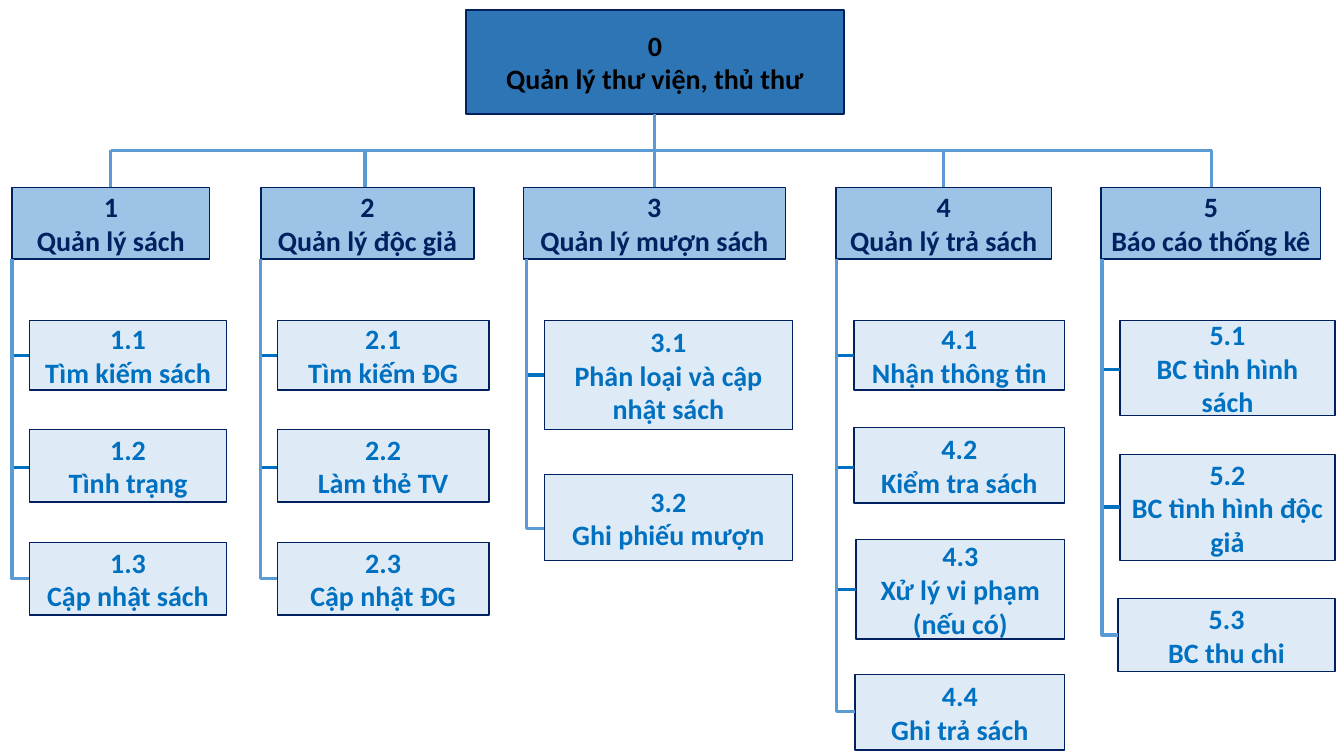
from dataclasses import dataclass
from typing import NamedTuple

from lxml.etree import SubElement
from pptx import Presentation
from pptx.dml.color import RGBColor
from pptx.enum.shapes import MSO_CONNECTOR as Link, MSO_SHAPE as Form
from pptx.enum.text import MSO_ANCHOR as Anchor, PP_ALIGN as Align
from pptx.oxml.ns import qn
from pptx.util import Inches, Pt


@dataclass(frozen=True)
class Theme:
    font: str = "Calibri"
    size: float = 20
    edge: float = 1
    wire: float = 2.25
    black: str = "000000"
    navy: str = "002060"
    blue: str = "0070C0"
    sky: str = "5B9BD5"
    root: str = "2E75B6"
    head: str = "9DC3E6"
    leaf: str = "DEEBF7"


class Item(NamedTuple):
    name: str
    top: float
    height: float
    joint: float  # height at which the wire meets the box
    nudge: float = 0  # shift of the left edge


class Branch(NamedTuple):
    name: str
    left: float
    width: float
    drop: float  # x of the wire from the bus
    trunk: float  # x of the wire down to the items
    inner: float  # left edge of the items
    span: float  # width of the items
    items: list[Item]


theme = Theme()
ROOT_TOP, ROOT_HIGH = 0.1, 1.03
BUS, HEAD_TOP, HEAD_HIGH = 1.49, 1.86, 0.71
HEAD_END = HEAD_TOP + HEAD_HIGH

branches = [
    Branch("Quản lý sách", 0.12, 1.96, 1.1, 0.12, 0.29, 1.96, [
        Item("Tìm kiếm sách", 3.18, 0.69, 3.53),
        Item("Tình trạng", 4.26, 0.72, 4.64),
        Item("Cập nhật sách", 5.38, 0.72, 5.74)]),
    Branch("Quản lý độc giả", 2.59, 2.11, 3.62, 2.58, 2.75, 2.1, [
        Item("Tìm kiếm ĐG", 3.18, 0.69, 3.53),
        Item("Làm thẻ TV", 4.26, 0.72, 4.64),
        Item("Cập nhật ĐG", 5.38, 0.72, 5.74)]),
    Branch("Quản lý mượn sách", 5.19, 2.6, 6.49, 5.22, 5.4, 2.46, [
        Item("Phân loại và cập nhật sách", 3.18, 1.08, 3.72),
        Item("Ghi phiếu mượn", 4.71, 0.85, 5.24)]),
    Branch("Quản lý trả sách", 8.29, 2.14, 9.36, 8.3, 8.47, 2.09, [
        Item("Nhận thông tin", 3.18, 0.69, 3.53),
        Item("Kiểm tra sách", 4.24, 0.75, 4.64),
        Item("Xử lý vi phạm (nếu có)", 5.35, 0.99, 5.85, 0.02),
        Item("Ghi trả sách", 6.69, 0.75, 7.06, 0.01)]),
    Branch("Báo cáo thống kê", 10.92, 2.18, 12.02, 10.93, 11.11, 2.13, [
        Item("BC tình hình sách", 3.18, 0.94, 3.67),
        Item("BC tình hình độc giả", 4.51, 1.05, 5.03),
        Item("BC thu chi", 5.94, 0.72, 6.3, -0.02)]),
]

deck = Presentation()
deck.slide_width, deck.slide_height = Inches(13.33), Inches(7.5)
slide = deck.slides.add_slide(deck.slide_layouts[6])


def box(code: str, name: str, left: float, top: float, width: float,
        height: float, fill: str, ink: str) -> None:
    shape = slide.shapes.add_shape(
        Form.RECTANGLE, Inches(left), Inches(top), Inches(width), Inches(height))
    shape.shadow.inherit = False
    shape.fill.solid()
    shape.fill.fore_color.rgb = RGBColor.from_string(fill)
    shape.line.color.rgb = RGBColor.from_string(theme.navy)
    shape.line.width = Pt(theme.edge)
    frame = shape.text_frame
    frame.word_wrap = True
    frame.vertical_anchor = Anchor.MIDDLE
    frame.text = f"{code}\n{name}"
    for para in frame.paragraphs:
        para.alignment = Align.CENTER
        font = para.runs[0].font
        font.name, font.size, font.bold = theme.font, Pt(theme.size), True
        font.color.rgb = RGBColor.from_string(ink)


def wire(x1: float, y1: float, x2: float, y2: float, color: str,
         kind: Link = Link.STRAIGHT):
    line = slide.shapes.add_connector(
        kind, Inches(x1), Inches(y1), Inches(x2), Inches(y2))
    line.line.color.rgb = RGBColor.from_string(color)
    line.line.width = Pt(theme.wire)
    SubElement(line._element.spPr, qn("a:effectLst"))
    return line


def elbow(x1: float, y1: float, x2: float, y2: float) -> None:
    """Run down from the start, then right to the end."""
    mid_x, mid_y = (x1 + x2) / 2, (y1 + y2) / 2
    long, wide = (y2 - y1) / 2, (x2 - x1) / 2
    # Lay the wire flat and mirrored, then turn it upright
    line = wire(mid_x + long, mid_y - wide, mid_x - long, mid_y + wide,
                theme.sky, Link.ELBOW)
    props = line._element.spPr
    props.find(qn("a:xfrm")).set("rot", str(270 * 60000))
    props.find(qn("a:prstGeom")).set("prst", "bentConnector2")


# Root and branch heads
box("0", "Quản lý thư viện, thủ thư", 4.62, ROOT_TOP, 3.75, ROOT_HIGH,
    theme.root, theme.black)
for num, branch in enumerate(branches, 1):
    box(str(num), branch.name, branch.left, HEAD_TOP, branch.width, HEAD_HIGH,
        theme.head, theme.navy)

# Items, with a tick to each and an elbow to the last
for num, branch in enumerate(branches, 1):
    for sub, item in enumerate(branch.items, 1):
        left = branch.inner + item.nudge
        box(f"{num}.{sub}", item.name, left, item.top,
            branch.span - item.nudge, item.height, theme.leaf, theme.blue)
        if item is branch.items[-1]:
            elbow(branch.trunk, HEAD_END, left, item.joint)
        else:
            wire(left, item.joint, branch.trunk, item.joint, theme.blue)

# Bus from the root to the heads
mid = branches[2].drop
wire(mid, ROOT_TOP + ROOT_HIGH, mid, HEAD_TOP, theme.sky)
wire(branches[0].drop, BUS, branches[-1].drop, BUS, theme.sky)
for branch in branches:
    if branch.drop != mid:
        wire(branch.drop, BUS, branch.drop, HEAD_TOP, theme.sky)

deck.save("out.pptx")
